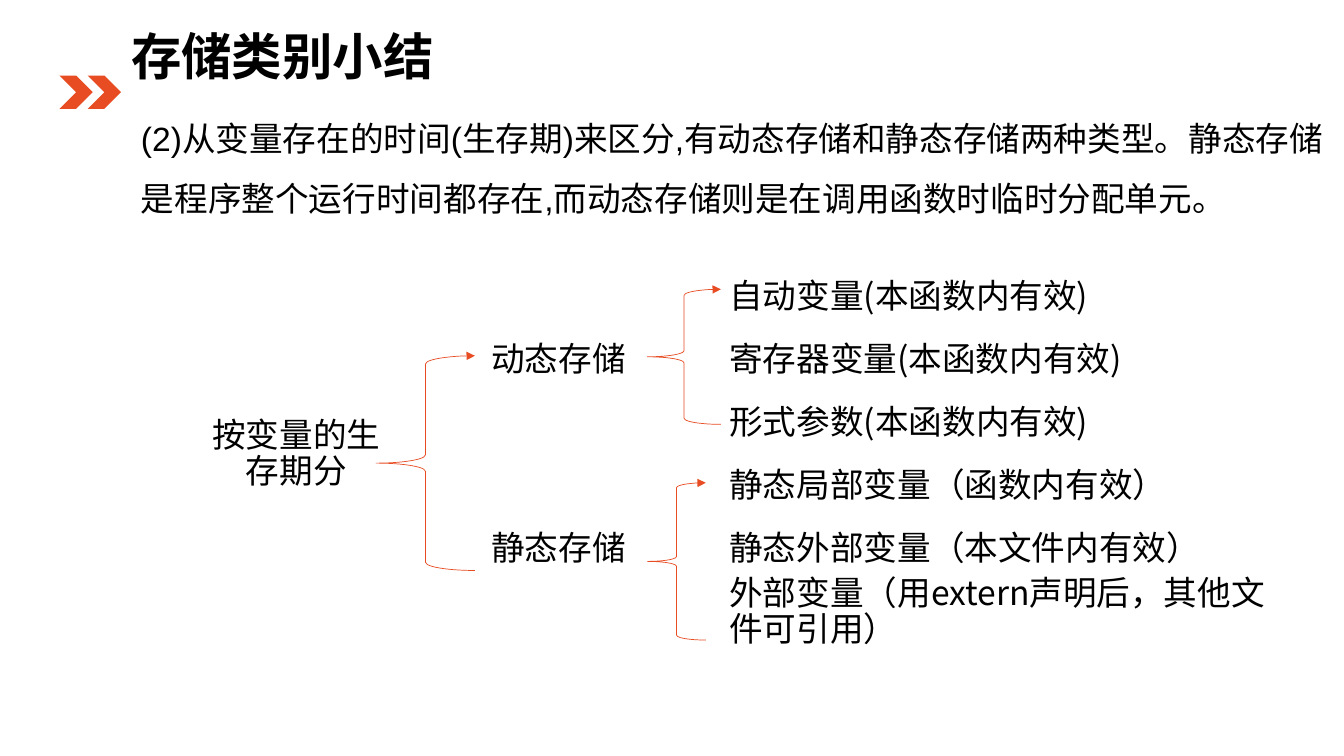
from dataclasses import dataclass

from lxml import etree
from pptx import Presentation
from pptx.dml.color import RGBColor
from pptx.enum.shapes import MSO_SHAPE
from pptx.enum.text import MSO_ANCHOR, MSO_AUTO_SIZE, PP_ALIGN
from pptx.oxml.ns import qn
from pptx.shapes.autoshape import Shape
from pptx.slide import Slide
from pptx.text.text import TextFrame
from pptx.util import Inches, Pt

CHEVRON = MSO_SHAPE.CHEVRON
LEFT_BRACE = MSO_SHAPE.LEFT_BRACE
RECTANGLE = MSO_SHAPE.RECTANGLE
ROUNDED_RECTANGLE = MSO_SHAPE.ROUNDED_RECTANGLE
MIDDLE = MSO_ANCHOR.MIDDLE
TOP = MSO_ANCHOR.TOP
NO_AUTOFIT = MSO_AUTO_SIZE.NONE
LEFT = PP_ALIGN.LEFT
CENTER = PP_ALIGN.CENTER
TITLE_ONLY = 5


@dataclass(frozen=True)
class Theme:
    ink: RGBColor = RGBColor(0x00, 0x00, 0x00)
    paper: RGBColor = RGBColor(0xFF, 0xFF, 0xFF)
    accent: RGBColor = RGBColor(0xE8, 0x4C, 0x22)
    cjk_font: str = "Noto Sans CJK SC"
    body_font: str = "Arial"
    title_size: int = 36
    text_size: int = 24
    brace_width: float = 0.5
    node_border: float = 1
    node_rounding: float = 0.1
    node_inset: float = 0.02


@dataclass(frozen=True)
class Box:
    left: float
    top: float
    width: float
    height: float

    def lengths(self) -> tuple[Inches, Inches, Inches, Inches]:
        return Inches(self.left), Inches(self.top), Inches(self.width), Inches(self.height)


@dataclass(frozen=True)
class Branch:
    name: str
    leaves: tuple[str, ...]


THEME = Theme()
TITLE = "存储类别小结"
TITLE_BOX = Box(1.2, 0.15, 5.94, 0.79)
EXPLANATION = (
    "(2)从变量存在的时间(生存期)来区分,有动态存储和静态存储两种类型。"
    "静态存储是程序整个运行时间都存在,而动态存储则是在调用函数时临时分配单元。"
)
EXPLANATION_BOX = Box(1.3, 0.92, 12.03, 5.9)
CHEVRON_BOXES = (Box(0.59, 0.75, 0.33, 0.33), Box(0.87, 0.75, 0.33, 0.33))
ROOT = "按变量的生存期分"
BRANCHES = (
    Branch("动态存储", ("自动变量(本函数内有效)", "寄存器变量(本函数内有效)", "形式参数(本函数内有效)")),
    Branch("静态存储", (
        "静态局部变量（函数内有效）",
        "静态外部变量（本文件内有效）",
        "外部变量（用extern声明后，其他文件可引用）",
    )),
)
BRACE_BOXES = (
    Box(3.73, 3.53, 0.98, 2.13),
    Box(6.42, 2.87, 0.73, 1.34),
    Box(6.42, 4.79, 0.58, 1.56),
)
ROOT_LEFT, BRANCH_LEFT, LEAF_LEFT = 2.01, 4.61, 7.2
NODE_WIDTH, NODE_HEIGHT = 1.86, 0.93
LEAF_WIDTH, LEAF_HEIGHT = 5.42, 0.49
FIRST_LEAF_CENTER = 2.95
LEAF_PITCH = 1.25 / 2


def write_text(
    frame: TextFrame, text: str, font: str, size: int, align: PP_ALIGN,
    anchor: MSO_ANCHOR, line_spacing: float, bold: bool = False,
) -> None:
    frame.word_wrap = True
    frame.auto_size = NO_AUTOFIT
    frame.vertical_anchor = anchor
    paragraph = frame.paragraphs[0]
    paragraph.alignment = align
    paragraph.line_spacing = line_spacing
    run = paragraph.add_run()
    run.text = text
    run.font.name = font
    run.font.size = Pt(size)
    run.font.bold = bold
    run.font.color.rgb = THEME.ink
    east_asian = etree.SubElement(run.font._element, qn("a:ea"))
    east_asian.set("typeface", THEME.cjk_font)


def add_filled(slide: Slide, preset: MSO_SHAPE, box: Box, color: RGBColor) -> Shape:
    panel = slide.shapes.add_shape(preset, *box.lengths())
    panel.shadow.inherit = False
    panel.fill.solid()
    panel.fill.fore_color.rgb = color
    panel.line.fill.background()
    return panel


def add_title(slide: Slide) -> None:
    title = slide.shapes.title
    title.left, title.top, title.width, title.height = TITLE_BOX.lengths()
    write_text(title.text_frame, TITLE, THEME.cjk_font, THEME.title_size, LEFT, MIDDLE, 1.0, True)


def add_explanation(slide: Slide) -> None:
    explanation = add_filled(slide, RECTANGLE, EXPLANATION_BOX, THEME.paper)
    write_text(explanation.text_frame, EXPLANATION, THEME.body_font, THEME.text_size, LEFT, TOP, 1.5)


def add_brace(slide: Slide, box: Box) -> None:
    brace = slide.shapes.add_shape(LEFT_BRACE, *box.lengths())
    brace.shadow.inherit = False
    brace.fill.background()
    brace.line.color.rgb = THEME.accent
    brace.line.width = Pt(THEME.brace_width)
    arrowhead = etree.SubElement(brace.line._get_or_add_ln(), qn("a:tailEnd"))
    arrowhead.set("type", "triangle")


def add_node(
    slide: Slide, text: str, left: float, center: float, width: float, height: float, align: PP_ALIGN,
) -> None:
    box = Box(left, center - height / 2, width, height)
    node = add_filled(slide, ROUNDED_RECTANGLE, box, THEME.paper)
    node.adjustments[0] = THEME.node_rounding
    node.line.color.rgb = THEME.paper
    node.line.width = Pt(THEME.node_border)
    frame = node.text_frame
    inset = Inches(THEME.node_inset)
    frame.margin_left = frame.margin_right = frame.margin_top = frame.margin_bottom = inset
    write_text(frame, text, THEME.cjk_font, THEME.text_size, align, MIDDLE, 0.9)


def add_tree(slide: Slide) -> None:
    branch_centers: list[float] = []
    next_center = FIRST_LEAF_CENTER
    for branch in BRANCHES:
        leaf_centers = [next_center + i * LEAF_PITCH for i in range(len(branch.leaves))]
        next_center = leaf_centers[-1] + LEAF_PITCH
        branch_center = sum(leaf_centers) / len(leaf_centers)
        branch_centers.append(branch_center)
        add_node(slide, branch.name, BRANCH_LEFT, branch_center, NODE_WIDTH, NODE_HEIGHT, CENTER)
        for leaf, center in zip(branch.leaves, leaf_centers):
            add_node(slide, leaf, LEAF_LEFT, center, LEAF_WIDTH, LEAF_HEIGHT, LEFT)
    root_center = sum(branch_centers) / len(branch_centers)
    add_node(slide, ROOT, ROOT_LEFT, root_center, NODE_WIDTH, NODE_HEIGHT, CENTER)
    for box in BRACE_BOXES:
        add_brace(slide, box)


def main() -> None:
    presentation = Presentation()
    presentation.slide_width = Inches(13.33)
    presentation.slide_height = Inches(7.5)
    slide = presentation.slides.add_slide(presentation.slide_layouts[TITLE_ONLY])
    add_title(slide)
    add_explanation(slide)
    for box in CHEVRON_BOXES:
        add_filled(slide, CHEVRON, box, THEME.accent)
    add_tree(slide)
    presentation.save("out.pptx")


if __name__ == "__main__":
    main()
